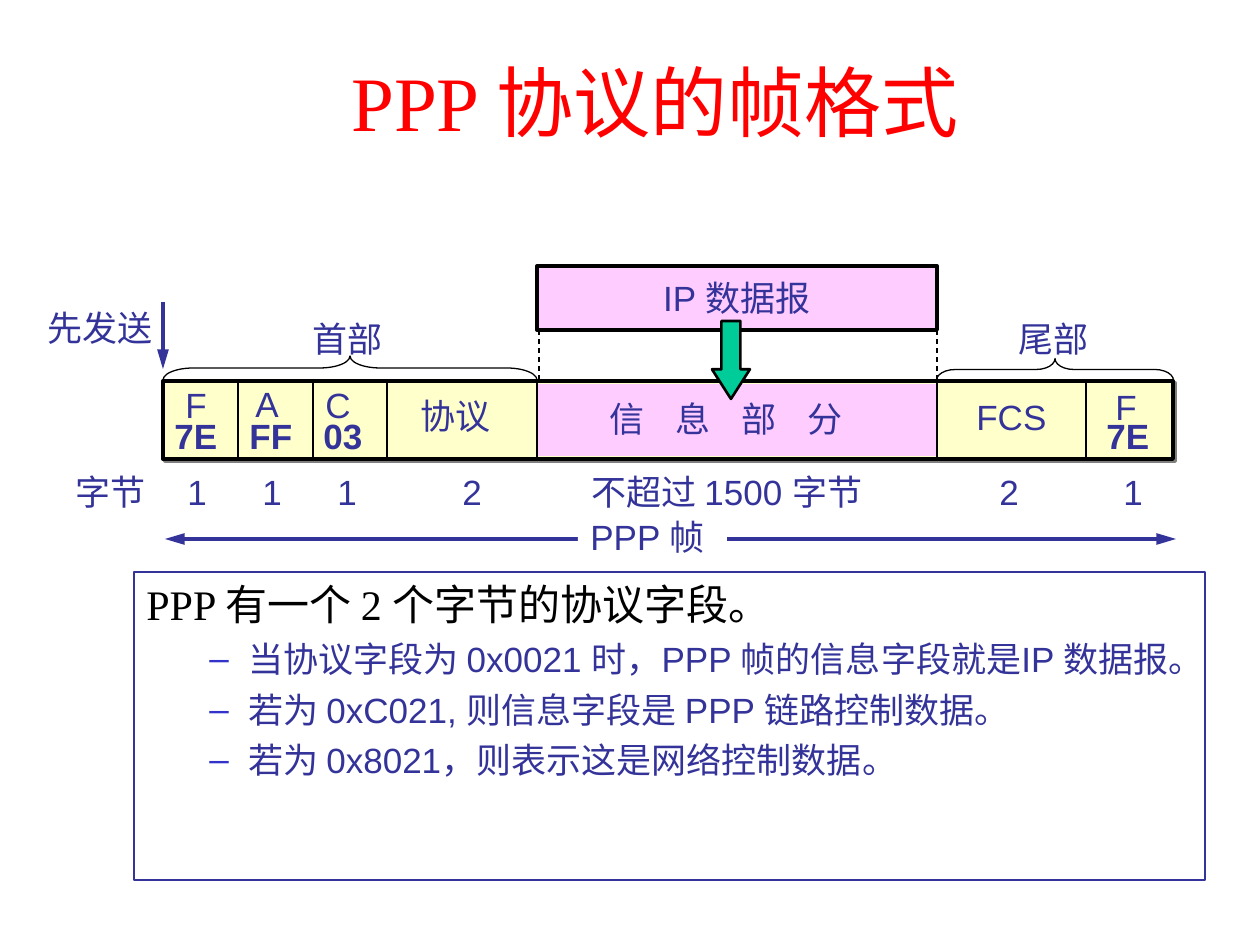
from pptx import Presentation
from pptx.dml.color import RGBColor
from pptx.enum.dml import MSO_LINE
from pptx.enum.shapes import MSO_CONNECTOR, MSO_SHAPE
from pptx.enum.text import MSO_ANCHOR, MSO_AUTO_SIZE, PP_ALIGN
from pptx.oxml import parse_xml
from pptx.oxml.ns import nsdecls
from pptx.util import Pt
from lxml.etree import SubElement

SCALE = 914400 / 126  # EMU per px
A = "{http://schemas.openxmlformats.org/drawingml/2006/main}"
BLUE, BLACK, PINK, CREAM = "333399", "000000", "FFCCFF", "FFFFCC"


def px(*lengths):
    return [round(length * SCALE) for length in lengths]


def rgb(value):
    return RGBColor.from_string(value)


presentation = Presentation()
presentation.slide_width, presentation.slide_height = px(1260, 945)
slide = presentation.slides.add_slide(presentation.slide_layouts[6])
shapes = slide.shapes

# Title
title = shapes.add_textbox(*px(87, 0, 1136, 202))
title.text_frame.word_wrap = True
title.text_frame.vertical_anchor = MSO_ANCHOR.MIDDLE
title.text_frame.text = "PPP 协议的帧格式"
paragraph = title.text_frame.paragraphs[0]
paragraph.alignment = PP_ALIGN.CENTER
font = paragraph.runs[0].font
font.name, font.size, font.color.rgb = "Times New Roman", Pt(44), rgb("FF0000")

# Explanation: a heading and its dashed points
body = shapes.add_textbox(*px(134, 572, 1071, 308))
body.line.color.rgb, body.line.width = rgb(BLUE), Pt(0.75)
body.text_frame.word_wrap = True
body.text_frame.text = "\n".join([
    "PPP 有一个 2 个字节的协议字段。",
    "当协议字段为 0x0021 时，PPP 帧的信息字段就是IP 数据报。",
    "若为 0xC021, 则信息字段是 PPP 链路控制数据。",
    "若为 0x8021，则表示这是网络控制数据。",
])
heading, *points = body.text_frame.paragraphs
font = heading.runs[0].font
font.name, font.size, font.color.rgb = "Times New Roman", Pt(24), rgb(BLACK)
for point in points:
    properties = point._p.get_or_add_pPr()
    margin, hanging = px(102, -39)
    properties.set("marL", str(margin))
    properties.set("indent", str(hanging))
    bullet_color = SubElement(properties, A + "buClr")
    SubElement(bullet_color, A + "srgbClr", val="3333CC")
    SubElement(properties, A + "buFont", typeface="Arial")
    SubElement(properties, A + "buChar", char="–")
    point.level = 1
    point.space_before = Pt(5)
    font = point.runs[0].font
    font.name, font.size, font.color.rgb = "Arial", Pt(20), rgb(BLUE)

# Boxes, braces and the down arrow: kind, place, fill, line width, rotation, adjustments
RECT, BRACE, ARROW = MSO_SHAPE.RECTANGLE, MSO_SHAPE.LEFT_BRACE, MSO_SHAPE.DOWN_ARROW
outlines = [
    (RECT, (537, 266, 400, 64), PINK, 2.25, 0, []),
    (RECT, (163, 381, 1010, 78), CREAM, 2.25, 0, []),
    (RECT, (537, 384, 400, 72), PINK, 0, 0, []),
    (BRACE, (338, 181, 24, 374), None, 0.75, 90, [1.27, 0.5]),
    (BRACE, (1044, 251, 22, 237), None, 0.75, 90, [0.85, 0.5]),
    (ARROW, (712, 321, 38, 78), "00CC99", 1.5, 0, [0.5, 0.78]),
]
drawn = []
for kind, place, fill, width, rotation, adjustments in outlines:
    shape = shapes.add_shape(kind, *px(*place))
    shape.shadow.inherit = False
    shape.rotation = rotation
    for index, value in enumerate(adjustments):
        shape.adjustments[index] = value
    if fill:
        shape.fill.solid()
        shape.fill.fore_color.rgb = rgb(fill)
    else:
        shape.fill.background()
    if width:
        shape.line.color.rgb, shape.line.width = rgb(BLACK), Pt(width)
    else:
        shape.line.fill.background()
    drawn.append(shape)
datagram, frame = drawn[:2]

# Hard shadow under the frame
effects = frame._element.spPr.find(A + "effectLst")
effects.append(parse_xml(
    f'<a:outerShdw {nsdecls("a")} dist="17780" dir="2700000" algn="ctr" rotWithShape="0">'
    '<a:srgbClr val="808080"/></a:outerShdw>'))

# Text of the datagram box
datagram.text_frame.word_wrap = False
datagram.text_frame.text = "IP 数据报"
paragraph = datagram.text_frame.paragraphs[0]
paragraph.alignment = PP_ALIGN.CENTER
font = paragraph.runs[0].font
font.name, font.size, font.color.rgb = "Arial", Pt(20), rgb(BLUE)

# Lines: ends, colour, width, dash, arrowheads
lines = [((x, 381, x, 459), BLACK, 0.75, None, []) for x in (238, 313, 387, 537, 937, 1086)]
lines += [((x, 330, x, 381), BLACK, 0.75, MSO_LINE.DASH, []) for x in (539, 937)]
lines += [
    ((165, 539, 1176, 539), BLUE, 2.25, None, ["headEnd", "tailEnd"]),
    ((163, 302, 163, 369), BLUE, 2.25, None, ["tailEnd"]),
]
for ends, color, width, dash, heads in lines:
    line = shapes.add_connector(MSO_CONNECTOR.STRAIGHT, *px(*ends))
    line.line.color.rgb, line.line.width = rgb(color), Pt(width)
    if dash:
        line.line.dash_style = dash
    for head in heads:
        SubElement(line.line._get_or_add_ln(), A + head, type="triangle", w="med", len="lg")
    SubElement(line._element.spPr, A + "effectLst")

# Labels: text, left, top, width
labels = [
    ("先发送", 35, 300, 132), ("首部", 300, 311, 98), ("尾部", 1006, 311, 98),
    ("F", 173, 377, 48), ("A", 243, 376, 50), ("C", 313, 377, 52), ("F", 1103, 379, 48),
    ("协议", 408, 388, 98), ("信 息 部 分", 597, 391, 264), ("FCS", 964, 389, 98),
    ("PPP 帧", 578, 509, 149),
]
labels += [(code, left, 408, 70) for code, left in
           [("7E", 162), ("FF", 237), ("03", 311), ("7E", 1094)]]
labels += [(size, left, 464, width) for size, left, width in
           [("字节", 63, 98), ("1", 175, 46), ("1", 250, 46), ("1", 325, 46), ("2", 450, 46),
            ("不超过 1500 字节", 579, 318), ("2", 987, 46), ("1", 1111, 46)]]
for text, left, top, width in labels:
    label = shapes.add_textbox(*px(left, top, width, 55))
    label.text_frame.word_wrap = False
    label.text_frame.auto_size = MSO_AUTO_SIZE.SHAPE_TO_FIT_TEXT
    label.text_frame.text = text
    run = label.text_frame.paragraphs[0].runs[0]
    run.font.name, run.font.size, run.font.color.rgb = "Arial", Pt(20), rgb(BLUE)
    run.font.bold = text in ("7E", "FF", "03")
    if text == "信 息 部 分":
        run._r.get_or_add_rPr().set("spc", "660")
    if text == "PPP 帧":
        label.fill.solid()
        label.fill.fore_color.rgb = rgb("FFFFFF")

presentation.save("out.pptx")
